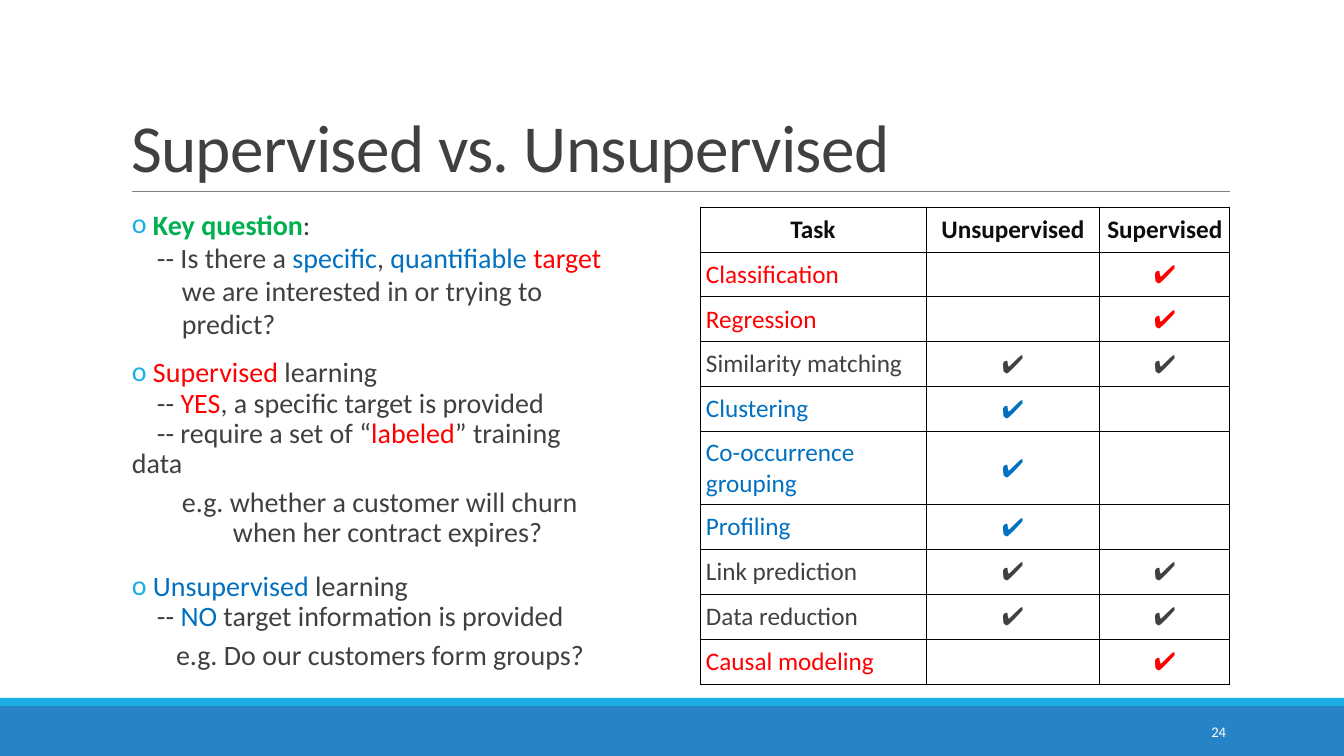
from lxml import etree
from pptx import Presentation
from pptx.dml.color import RGBColor
from pptx.enum.shapes import MSO_CONNECTOR, MSO_SHAPE
from pptx.enum.text import MSO_ANCHOR as ANCHOR, MSO_AUTO_SIZE, PP_ALIGN as ALIGN
from pptx.oxml.ns import qn
from pptx.util import Emu, Pt

SCALE = 914400 / 100.8
COLORS = {
    "text": "404040", "head": "0D0D0D", "cell": "414141", "red": "FF0000",
    "blue": "0070C0", "green": "00B050", "bullet": "1CADE4", "band": "2683C6",
    "rule": "808080", "border": "000000", "white": "FFFFFF",
}


def px(n):
    return Emu(round(n * SCALE))


def add_run(p, text, size, color, bold=False, name="Calibri"):
    r = p.add_run()
    r.text = text
    for key, value in {"size": Pt(size), "bold": bold, "name": name}.items():
        setattr(r.font, key, value)
    r.font.color.rgb = RGBColor.from_string(COLORS[color])
    return r


prs = Presentation()
prs.slide_width, prs.slide_height = px(1344), px(756)
s = prs.slides.add_slide(prs.slide_layouts[5])

# Footer bands and title rule
for top, height, color in [(706, 50, "band"), (698, 8, "bullet")]:
    sp = s.shapes.add_shape(MSO_SHAPE.RECTANGLE, 0, px(top), px(1344), px(height))
    sp.shadow.inherit = False
    sp.fill.solid()
    sp.fill.fore_color.rgb = RGBColor.from_string(COLORS[color])
    sp.line.fill.background()

rule = s.shapes.add_connector(MSO_CONNECTOR.STRAIGHT, px(132), px(191), px(1230), px(191))
rule.line.width = Pt(0.5)
rule.line.color.rgb = RGBColor.from_string(COLORS["rule"])
etree.SubElement(rule._element.spPr, qn("a:effectLst"))

# Title
title = s.shapes.title
title.left, title.top, title.width, title.height = px(121), px(31), px(1109), px(160)
tf = title.text_frame
tf.auto_size = MSO_AUTO_SIZE.NONE
tf.vertical_anchor = ANCHOR.BOTTOM
p = tf.paragraphs[0]
p.alignment, p.line_spacing = ALIGN.LEFT, 0.85
r = add_run(p, "Supervised vs. Unsupervised", 48, "text")
r.font._element.set("spc", "-50")

# Body: first-line indent in px (None for a bullet), space before in pt, runs
body = [
    (None, 0, [("Key question", "green"), (":", "text")]),
    (25, 2, [("-- Is there a ", "text"), ("specific", "blue"), (", ", "text"),
             ("quantifiable ", "blue"), ("target", "red")]),
    (50, 2, [("we are interested in or trying to", "text")]),
    (50, 2, [("predict?", "text")]),
    (None, 13, [("Supervised", "red"), (" learning", "text")]),
    (25, 0, [("-- ", "text"), ("YES", "red"), (", a specific target is provided", "text")]),
    (25, 0, [("-- require a set of “", "text"), ("labeled", "red"),
             ("” training data", "text")]),
    (50, 6, [("e.g. whether a customer will churn", "text")]),
    (101, 0, [("when her contract expires?", "text")]),
    (None, 17, [("Unsupervised", "blue"), (" learning", "text")]),
    (25, 0, [("-- ", "text"), ("NO", "blue"), (" target information is provided", "text")]),
    (44, 6, [("e.g. Do our customers form groups?", "text")]),
]
tf = s.shapes.add_textbox(px(132), px(206), px(480), px(463)).text_frame
tf.word_wrap = True
tf.margin_left = tf.margin_right = 0
tf.margin_top = tf.margin_bottom = px(5)
for i, (indent, before, runs) in enumerate(body):
    p = tf.paragraphs[0] if i == 0 else tf.add_paragraph()
    p.line_spacing, p.space_before = 0.9, Pt(before)
    pPr = p._p.get_or_add_pPr()
    if indent is None:
        pPr.set("marL", str(px(21)))
        pPr.set("indent", str(px(-21)))
        color = etree.SubElement(pPr, qn("a:buClr"))
        etree.SubElement(color, qn("a:srgbClr"), val=COLORS["bullet"])
        etree.SubElement(pPr, qn("a:buFont"), typeface="Calibri")
        etree.SubElement(pPr, qn("a:buChar"), char="o")
    else:
        pPr.set("marL", "0")
        pPr.set("indent", str(px(indent)))
    for text, color in runs:
        add_run(p, text, 20, color, bold=color == "green")

# Slide number
tf = s.shapes.add_textbox(px(1092), px(712), px(144), px(40)).text_frame
tf.word_wrap = True
tf.vertical_anchor = ANCHOR.MIDDLE
tf.paragraphs[0].alignment = ALIGN.RIGHT
add_run(tf.paragraphs[0], "24", 10.5, "white")

# Task table
tasks = [
    ("Task", "Unsupervised", "Supervised", "head"),
    ("Classification", "", "✔", "red"),
    ("Regression", "", "✔", "red"),
    ("Similarity matching", "✔", "✔", "cell"),
    ("Clustering", "✔", "", "blue"),
    ("Co-occurrence grouping", "✔", "", "blue"),
    ("Profiling", "✔", "", "blue"),
    ("Link prediction", "✔", "✔", "cell"),
    ("Data reduction", "✔", "✔", "cell"),
    ("Causal modeling", "", "✔", "red"),
]
table = s.shapes.add_table(len(tasks), 3, px(700), px(207), px(530), px(478)).table
for column, width in zip(table.columns, (226, 174, 130)):
    column.width = px(width)
for i, (*texts, color) in enumerate(tasks):
    table.rows[i].height = px(73 if texts[0] == "Co-occurrence grouping" else 45)
    for j, text in enumerate(texts):
        cell = table.cell(i, j)
        cell.vertical_anchor = ANCHOR.MIDDLE
        for side in ("left", "right", "top", "bottom"):
            setattr(cell, f"margin_{side}", px(6))
        tcPr = cell._tc.get_or_add_tcPr()
        for tag in ("a:lnL", "a:lnR", "a:lnT", "a:lnB"):
            ln = etree.SubElement(tcPr, qn(tag), w=str(Pt(0.75)))
            fill = etree.SubElement(ln, qn("a:solidFill"))
            etree.SubElement(fill, qn("a:srgbClr"), val=COLORS["border"])
        cell.fill.background()
        p = cell.text_frame.paragraphs[0]
        p.alignment = ALIGN.LEFT if i and j == 0 else ALIGN.CENTER
        if text:
            add_run(p, text, 18, color, bold=i == 0,
                    name="Arial" if text == "✔" else "Calibri")

prs.save("out.pptx")
